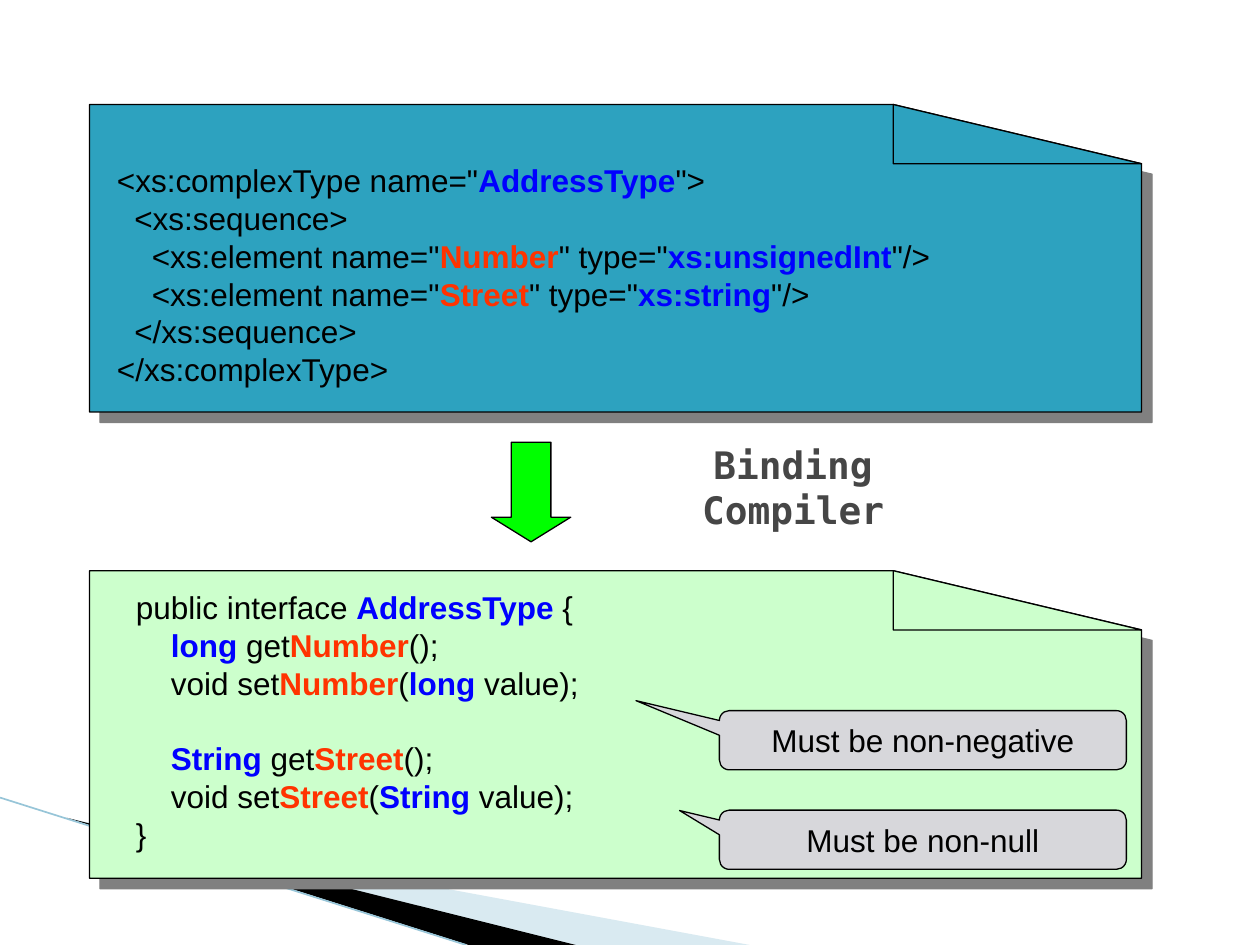
from lxml.etree import SubElement
from pptx import Presentation
from pptx.dml.color import RGBColor
from pptx.enum.shapes import MSO_CONNECTOR, MSO_SHAPE as SHAPE
from pptx.enum.text import MSO_ANCHOR as ANCHOR, PP_ALIGN as ALIGN
from pptx.oxml.ns import qn
from pptx.util import Inches, Pt

BLACK = RGBColor(0, 0, 0)
BLUE = RGBColor(0, 0, 0xFF)
ORANGE = RGBColor(0xFF, 0x33, 0)
TEAL = RGBColor(0x2D, 0xA2, 0xBF)
MINT = RGBColor(0xCC, 0xFF, 0xCC)
GREEN = RGBColor(0, 0xFF, 0)
GRAY = RGBColor(0xD7, 0xD7, 0xDB)
TITLE_GRAY = RGBColor(0x46, 0x46, 0x46)
PALE_BLUE = RGBColor(0xA0, 0xCB, 0xDC)
LINE_BLUE = RGBColor(0x97, 0xC5, 0xD8)

TITLE = "Binding Compiler"
LINE_HEIGHT = 21.6
NOTE_LEFT, NOTE_WIDTH, NOTE_HEIGHT = 5.71, 3.23, 0.47
NOTE_TOP, NOTE_STEP = 5.64, 0.79

TYPE_NAME = ("AddressType", BLUE)
NUMBER = ("Number", ORANGE)
STREET = ("Street", ORANGE)
LONG = ("long", BLUE)
STRING = ("String", BLUE)

SCHEMA = [
    ['<xs:complexType name="', TYPE_NAME, '">'],
    ["  <xs:sequence>"],
    ['    <xs:element name="', NUMBER, '" type="', ("xs:unsignedInt", BLUE), '"/>'],
    ['    <xs:element name="', STREET, '" type="', ("xs:string", BLUE), '"/>'],
    ["  </xs:sequence>"],
    ["</xs:complexType>"],
]
GETTERS = [
    ["public interface ", TYPE_NAME, " {"],
    ["    ", LONG, " get", NUMBER, "();"],
    ["    void set", NUMBER, "(", LONG, " value);"],
]
STREET_METHODS = [
    ["    ", STRING, " get", STREET, "();"],
    ["    void set", STREET, "(", STRING, " value);"],
    ["}"],
]
PAGES = [
    (0.83, TEAL, (0.83, 1.23, 8.27, 1.9), [SCHEMA]),
    (4.53, MINT, (0.98, 4.62, 5.28, 2.2), [GETTERS, STREET_METHODS]),
]
NOTES = [
    ("Must be non-negative", (-0.705, -0.669, 0.167)),
    ("Must be non-null", (-0.598, -0.493, 0.167)),
]
WEDGES = [
    ([(0.55, 6.5), (5.95, 7.5), (4.56, 7.5)], PALE_BLUE, 40),
    ([(0.53, 6.49), (4.57, 7.5), (3.72, 7.5)], BLACK, 100),
]


def paint(sp, fill, outlined=True):
    sp.shadow.inherit = False
    sp.fill.solid()
    sp.fill.fore_color.rgb = fill
    if outlined:
        sp.line.color.rgb = BLACK
        sp.line.width = Pt(0.75)
    else:
        sp.line.fill.background()


def add_polygon(shapes, points, fill, outlined=True):
    start, *rest = [(Inches(x), Inches(y)) for x, y in points]
    builder = shapes.build_freeform(*start)
    builder.add_line_segments(rest, close=True)
    sp = builder.convert_to_shape()
    paint(sp, fill, outlined)
    return sp


def set_alpha(sp, percent):
    color = sp._element.spPr.find(f"{qn('a:solidFill')}/{qn('a:srgbClr')}")
    SubElement(color, qn("a:alpha"), val=str(percent * 1000))


def cast_shadow(sp):
    effects = sp._element.spPr.find(qn("a:effectLst"))
    shadow = SubElement(effects, qn("a:outerShdw"), dist=str(Pt(8.5)),
                        dir="2700000", algn="ctr", rotWithShape="0")
    SubElement(shadow, qn("a:srgbClr"), val="808080")


def add_run(p, text, color=BLACK, bold=False, size=18, name="Arial"):
    r = p.add_run()
    r.text = text
    r.font.color.rgb = color
    for key, value in dict(name=name, size=Pt(size), bold=bold).items():
        setattr(r.font, key, value)


def add_page(shapes, top, fill):
    left, right, bottom = 0.71, 9.06, top + 2.44
    fold_x, fold_y = 7.09, top + 0.47
    body = [(left, top), (fold_x, top), (right, fold_y), (right, bottom), (left, bottom)]
    cast_shadow(add_polygon(shapes, body, fill))
    add_polygon(shapes, [(fold_x, top), (right, fold_y), (fold_x, fold_y)], fill)


def add_code(shapes, box, groups):
    tf = shapes.add_textbox(*map(Inches, box)).text_frame
    tf.word_wrap = True
    p = tf.paragraphs[0]
    for g, group in enumerate(groups):
        for n, line in enumerate(group):
            if g or n:
                p = tf.add_paragraph()
            p.line_spacing = Pt(LINE_HEIGHT)
            if g and not n:
                p.space_before = Pt(LINE_HEIGHT)
            for part in line:
                if isinstance(part, str):
                    add_run(p, part)
                else:
                    add_run(p, *part, bold=True)


def add_note(shapes, top, text, adjustments):
    box = (NOTE_LEFT, top, NOTE_WIDTH, NOTE_HEIGHT)
    sp = shapes.add_shape(SHAPE.ROUNDED_RECTANGULAR_CALLOUT, *map(Inches, box))
    for i, value in enumerate(adjustments):
        sp.adjustments[i] = value
    paint(sp, GRAY)
    tf = sp.text_frame
    tf.vertical_anchor = ANCHOR.MIDDLE
    tf.paragraphs[0].alignment = ALIGN.CENTER
    add_run(tf.paragraphs[0], text)


def main():
    prs = Presentation()
    prs.slide_width, prs.slide_height = Inches(10), Inches(7.5)
    slide = prs.slides.add_slide(prs.slide_layouts[5])
    shapes = slide.shapes

    title = shapes.title
    title.left, title.top, title.width, title.height = map(Inches, (4.76, 3.67, 3.07, 0.39))
    tf = title.text_frame
    tf.word_wrap = True
    tf.vertical_anchor = ANCHOR.MIDDLE
    p = tf.paragraphs[0]
    p.alignment = ALIGN.CENTER
    add_run(p, TITLE, TITLE_GRAY, True, 21.6, "DejaVu Sans Mono")

    for points, fill, alpha in WEDGES:
        set_alpha(add_polygon(shapes, points, fill, False), alpha)
    edge = shapes.add_connector(MSO_CONNECTOR.STRAIGHT, *map(Inches, (0, 6.33, 3.7, 7.5)))
    edge.line.color.rgb = LINE_BLUE
    edge.line.width = Pt(0.95)
    SubElement(edge._element.spPr, qn("a:effectLst"))

    for top, fill, box, groups in PAGES:
        add_page(shapes, top, fill)
        add_code(shapes, box, groups)

    arrow = shapes.add_shape(SHAPE.DOWN_ARROW, *map(Inches, (3.9, 3.51, 0.63, 0.79)))
    arrow.adjustments[1] = 0.31
    paint(arrow, GREEN)

    for i, (text, adjustments) in enumerate(NOTES):
        add_note(shapes, NOTE_TOP + i * NOTE_STEP, text, adjustments)

    prs.save("out.pptx")


if __name__ == "__main__":
    main()
